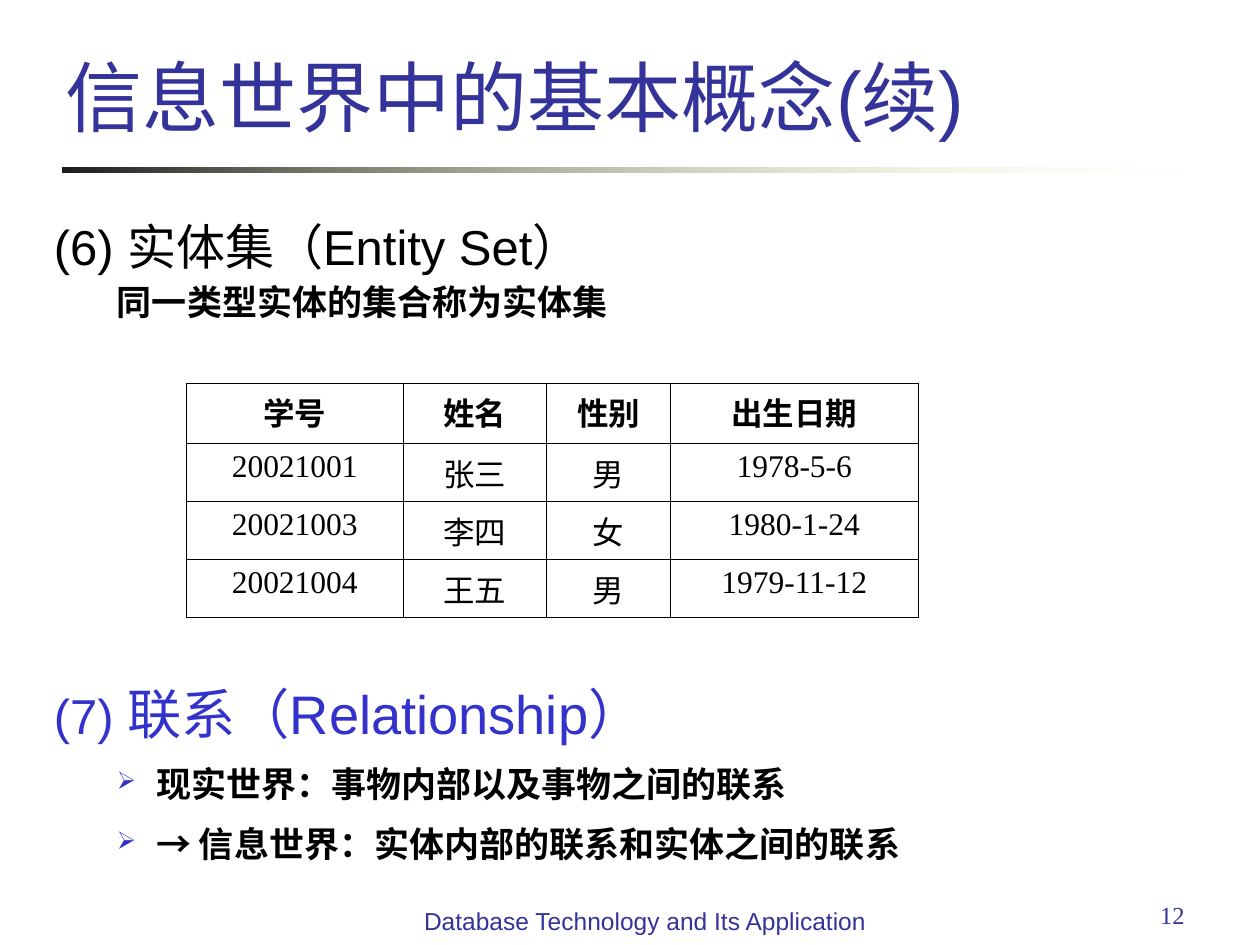
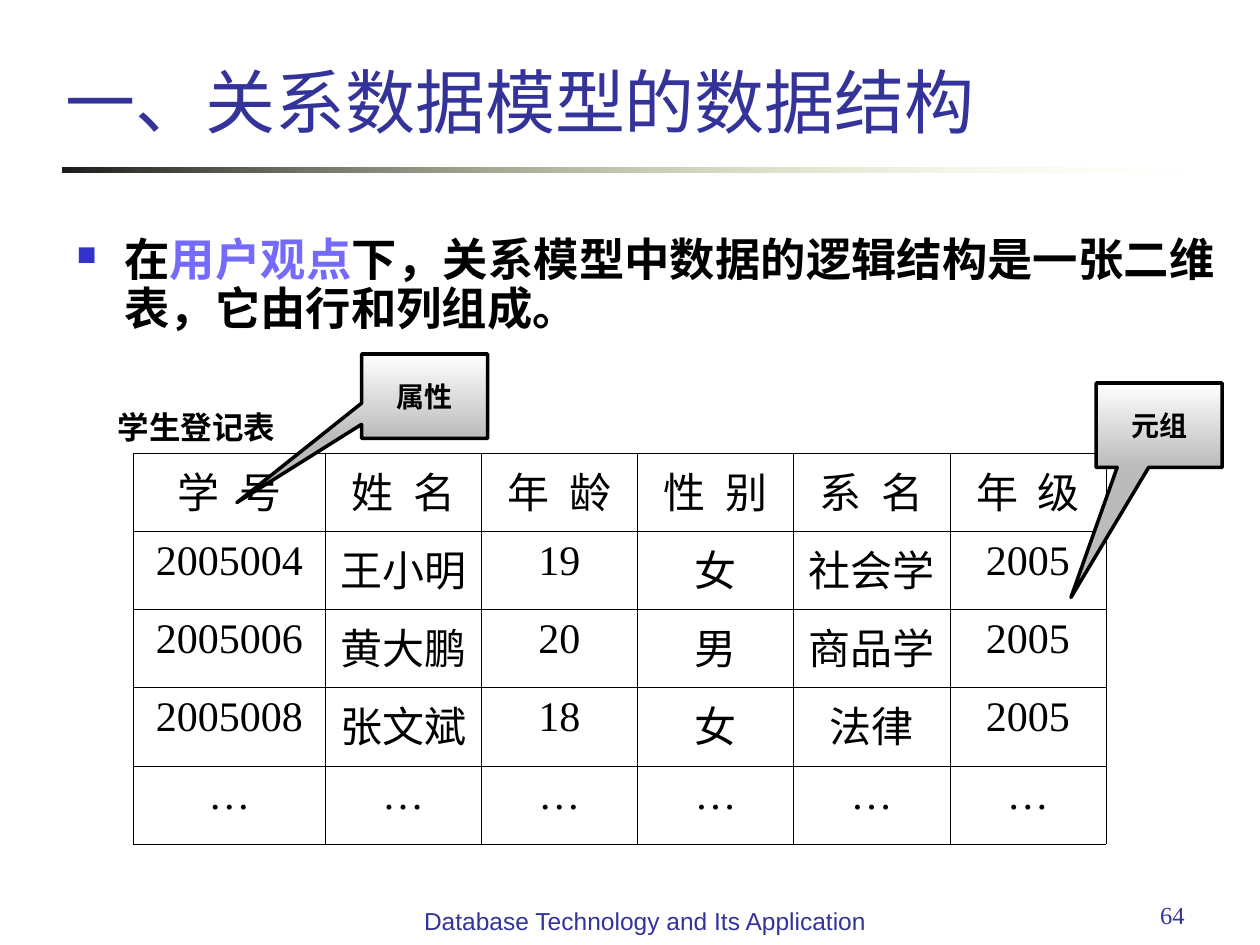
"""Build two database course slides with tables, lists and callouts."""
import dataclasses

import lxml.etree
import pptx
import pptx.dml.color
import pptx.enum.shapes
import pptx.enum.text
import pptx.oxml.ns
import pptx.util

Inches = pptx.util.Inches
Pt = pptx.util.Pt
ALIGN = pptx.enum.text.PP_ALIGN
ANCHOR = pptx.enum.text.MSO_ANCHOR
SHAPE = pptx.enum.shapes.MSO_SHAPE
qn = pptx.oxml.ns.qn


@dataclasses.dataclass(frozen=True)
class Theme:
    """Colours, fonts and type sizes of the deck."""
    navy: str = "333399"
    blue: str = "3333CC"
    violet: str = "746AFC"
    black: str = "000000"
    white: str = "FFFFFF"
    grey: str = "BBBBBB"
    coal: str = "1C1C1C"
    cream: str = "FFFFB7"
    sans: str = "Arial"
    serif: str = "Times New Roman"
    title: float = 44
    subtitle: float = 40
    topic: float = 31
    head: float = 28
    lead: float = 25.9
    grid: float = 24
    item: float = 20
    label: float = 18
    note: float = 16
    foot: float = 14


THEME = Theme()
FOOTER = "Database Technology and Its Application"


def rgb(code):
    """Return a colour object for a hex code."""
    return pptx.dml.color.RGBColor.from_string(code)


def apply(target, values):
    """Set each attribute named in a dict."""
    for name, value in values.items():
        setattr(target, name, value)


def style(size, color=THEME.black, name=THEME.sans, bold=False):
    """Return the format values of a run."""
    return {"size": Pt(size), "name": name, "bold": bold, "color": color}


def add_run(para, text, look):
    """Add one styled run to a paragraph."""
    run = para.add_run()
    run.text = text
    values = dict(look)
    color = values.pop("color")
    apply(run.font, values)
    run.font.color.rgb = rgb(color)
    return run


def add_node(parent, tag, **values):
    """Append an XML element with attributes."""
    return lxml.etree.SubElement(parent, qn(tag), values)


def bullet(para, mark, scale):
    """Give a paragraph a blue bullet sign."""
    props = para._p.get_or_add_pPr()
    add_node(add_node(props, "a:buClr"), "a:srgbClr", val=THEME.blue)
    add_node(props, "a:buSzPct", val=str(scale * 1000))
    add_node(props, "a:buChar", char=mark)


def indent(para, left, first):
    """Set the left margin and first line indent."""
    props = para._p.get_or_add_pPr()
    props.set("marL", str(Inches(left)))
    props.set("indent", str(Inches(first)))


def add_box(slide, spot, wrap=True):
    """Add a text box and return its frame."""
    frame = slide.shapes.add_textbox(*map(Inches, spot)).text_frame
    frame.word_wrap = wrap
    return frame


def add_line(slide, spot, text, look, align, wrap=True):
    """Add a text box with one line."""
    para = add_box(slide, spot, wrap).paragraphs[0]
    para.alignment = align
    add_run(para, text, look)


def add_list(slide, spot, rows):
    """Add paragraphs of runs, margins, bullets and format values."""
    frame = add_box(slide, spot)
    for i, (runs, margin, mark, values) in enumerate(rows):
        para = frame.add_paragraph() if i else frame.paragraphs[0]
        indent(para, *margin)
        if mark:
            bullet(para, *mark)
        apply(para, {"alignment": ALIGN.JUSTIFY, **values})
        for text, look in runs:
            add_run(para, text, look)


def blend(shape, start, end, angle):
    """Fill a shape with a two colour gradient."""
    fill = shape.fill
    fill.gradient()
    fill.gradient_angle = angle
    for stop, code in zip(fill.gradient_stops, (start, end)):
        stop.color.rgb = rgb(code)


def add_band(slide):
    """Draw the fading rule below the title."""
    spot = map(Inches, (0.5, 1.33, 9, 0.04))
    band = slide.shapes.add_shape(SHAPE.RECTANGLE, *spot)
    band.shadow.inherit = False
    band.line.fill.background()
    blend(band, THEME.coal, THEME.cream, 0)
    last = list(band._element.spPr.iter(qn("a:srgbClr")))[-1]
    add_node(last, "a:alpha", val="0")


def add_slide(deck, title, size, page):
    """Add a slide with title, rule, footer and page number."""
    slide = deck.slides.add_slide(deck.slide_layouts[5])
    add_band(slide)
    head = slide.shapes.title
    places = (0.42, 0, 8.78, 1.18)
    apply(head, dict(zip(("left", "top", "width", "height"),
                         map(Inches, places))))
    apply(head.text_frame, {"vertical_anchor": ANCHOR.BOTTOM,
                            "word_wrap": True,
                            "auto_size": pptx.enum.text.MSO_AUTO_SIZE.NONE})
    para = head.text_frame.paragraphs[0]
    para.alignment = ALIGN.LEFT
    add_run(para, title, style(size, THEME.navy))
    add_line(slide, (7.17, 7.09, 2.33, 0.4), page,
             style(THEME.foot, THEME.navy, THEME.serif), ALIGN.RIGHT)
    add_line(slide, (3.19, 7.14, 3.86, 0.36), FOOTER,
             style(THEME.foot, THEME.navy), ALIGN.CENTER)
    return slide


def frame_cell(cell):
    """Draw thin black lines round a table cell."""
    props = cell._tc.get_or_add_tcPr()
    for i, side in enumerate(("a:lnL", "a:lnR", "a:lnT", "a:lnB")):
        line = lxml.etree.Element(qn(side), {"w": str(Pt(0.45))})
        fill = add_node(line, "a:solidFill")
        add_node(fill, "a:srgbClr", val=THEME.black)
        props.insert(i, line)


def add_grid(slide, spot, widths, heights, rows, size, bold=False, track=0):
    """Add a ruled table whose first row is the header."""
    left, top = spot
    places = (left, top, sum(widths), sum(heights))
    grid = slide.shapes.add_table(len(rows), len(widths),
                                  *map(Inches, places)).table
    apply(grid, {"first_row": False, "horz_banding": False})
    for col, width in zip(grid.columns, widths):
        col.width = Inches(width)
    for r, (row, height) in enumerate(zip(rows, heights)):
        grid.rows[r].height = Inches(height)
        for c, text in enumerate(row):
            cell = grid.cell(r, c)
            cell.fill.background()
            frame_cell(cell)
            para = cell.text_frame.paragraphs[0]
            para.alignment = ALIGN.CENTER
            look = style(size, name=THEME.serif, bold=bold and r == 0)
            run = add_run(para, text, look)
            if track and r == 0:
                run._r.get_or_add_rPr().set("spc", str(track * 100))


def add_call(slide, left, top, text, tip):
    """Add a callout whose tip points into the table."""
    spot = map(Inches, (left, top, 1, 0.67))
    call = slide.shapes.add_shape(SHAPE.RECTANGULAR_CALLOUT, *spot)
    call.shadow.inherit = False
    for i, value in enumerate(tip):
        call.adjustments[i] = value
    blend(call, THEME.white, THEME.grey, 270)
    call.line.color.rgb = rgb(THEME.black)
    call.line.width = Pt(2)
    call.text_frame.vertical_anchor = ANCHOR.MIDDLE
    para = call.text_frame.paragraphs[0]
    para.alignment = ALIGN.CENTER
    add_run(para, text, style(THEME.note, name=THEME.serif, bold=True))


def make_sets(deck):
    """Build the slide on entity sets and relationships."""
    slide = add_slide(deck, "信息世界中的基本概念(续)", THEME.title, "12")
    item = style(THEME.item, bold=True)
    outer, inner = (0.38, -0.38), (0.81, -0.31)
    add_list(slide, (0.33, 1.67, 9.38, 1.1), [
        ([("(6) 实体集（Entity Set）", style(THEME.head))], outer, None, {}),
        ([("同一类型实体的集合称为实体集", item)], inner, None,
         {"space_before": Pt(3)}),
    ])
    rows = [
        ("学号", "姓名", "性别", "出生日期"),
        ("20021001", "张三", "男", "1978-5-6"),
        ("20021003", "李四", "女", "1980-1-24"),
        ("20021004", "王五", "男", "1979-11-12"),
    ]
    add_grid(slide, (1.48, 3.04), (1.72, 1.14, 0.98, 1.97),
             (0.48, 0.46, 0.46, 0.46), rows, THEME.label, bold=True)
    topic = [("(7) ", style(THEME.head, THEME.blue)),
             ("联系（Relationship）", style(THEME.topic, THEME.blue))]
    facts = ("现实世界：事物内部以及事物之间的联系",
             "→ 信息世界：实体内部的联系和实体之间的联系")
    add_list(slide, (0.33, 5.35, 9.38, 1.79), [(topic, outer, None, {})] + [
        ([(fact, item)], inner, ("➢", 70), {"space_before": Pt(10)})
        for fact in facts
    ])


def make_model(deck):
    """Build the slide on the relational data structure."""
    slide = add_slide(deck, "一、关系数据模型的数据结构", THEME.subtitle, "64")
    lead = style(THEME.lead, bold=True)
    runs = [
        ("在", lead),
        ("用户观点", {**lead, "color": THEME.violet}),
        ("下，关系模型中数据的逻辑结构是一张二维表，它由行和列组成。", lead),
    ]
    add_list(slide, (0.51, 1.83, 9.23, 1.05), [
        (runs, (0.38, -0.38), ("■", 60), {"line_spacing": 0.91}),
    ])
    rows = [
        ("学 号", "姓 名", "年 龄", "性 别", "系 名", "年 级"),
        ("2005004", "王小明", "19", "女", "社会学", "2005"),
        ("2005006", "黄大鹏", "20", "男", "商品学", "2005"),
        ("2005008", "张文斌", "18", "女", "法律", "2005"),
        ("…",) * 6,
    ]
    add_grid(slide, (1.06, 3.6), (1.52,) + (1.24,) * 5, (0.62,) * 5,
             rows, THEME.grid, track=3)
    add_line(slide, (0.46, 3.19, 2.2, 0.4), "学生登记表",
             style(THEME.label, name=THEME.serif, bold=True),
             ALIGN.CENTER, wrap=False)
    add_call(slide, 2.87, 2.81, "属性", (-1.49, 1.26))
    add_call(slide, 8.7, 3.04, "元组", (-0.7, 2.04))


def main():
    """Build and save the deck."""
    deck = pptx.Presentation()
    apply(deck, {"slide_width": Inches(10), "slide_height": Inches(7.5)})
    make_sets(deck)
    make_model(deck)
    deck.save("out.pptx")


if __name__ == "__main__":
    main()
